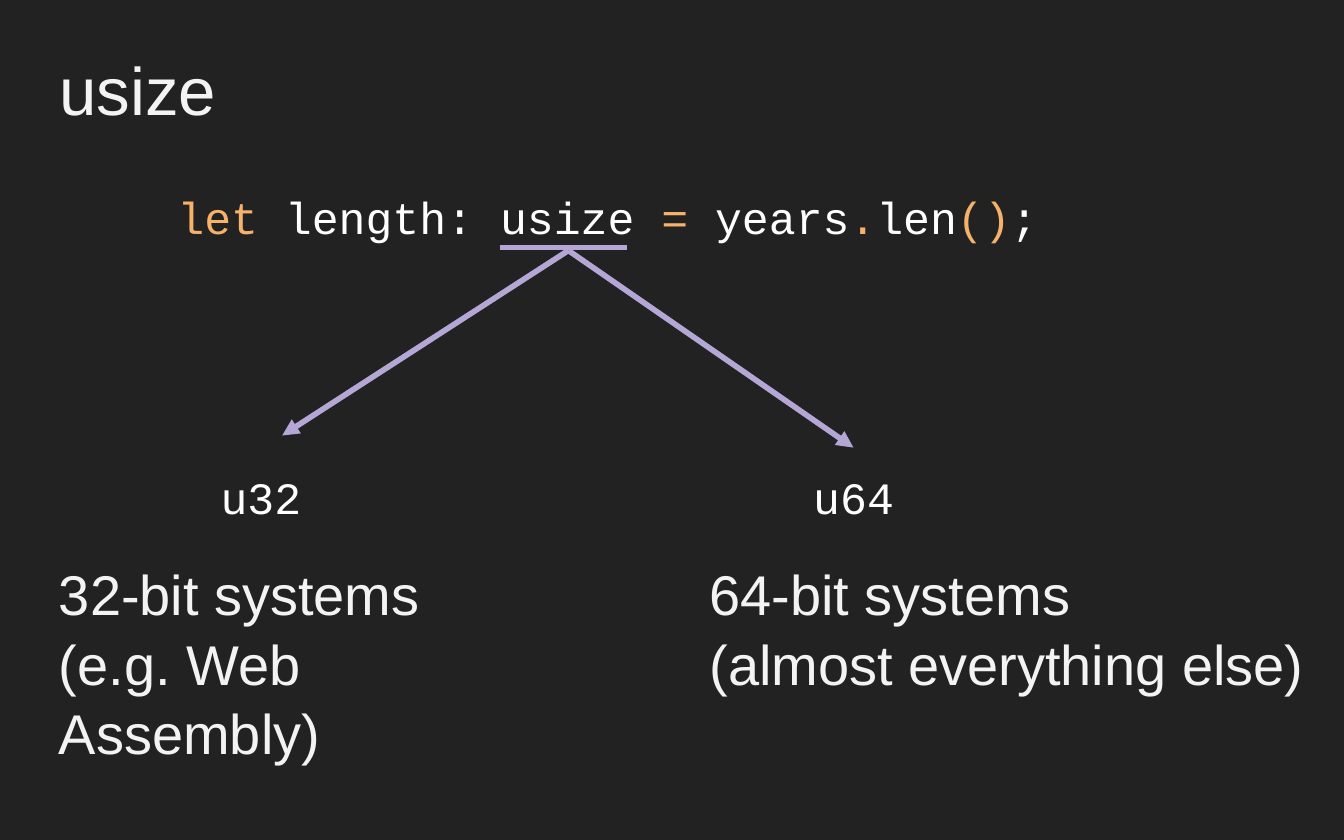
from dataclasses import dataclass

import lxml.etree
import pptx
import pptx.dml.color
import pptx.enum.shapes
import pptx.enum.text
import pptx.oxml.ns
import pptx.util
from pptx.util import Pt

COLORS = {
    "background": "222222",
    "heading": "F3F3F3",
    "code": "FFFFFF",
    "keyword": "F6B26B",
    "arrow": "B4A7D6",
}
ANCHOR = pptx.enum.text.MSO_ANCHOR
ALIGN = pptx.enum.text.PP_ALIGN
TEXT_INSET = 7.2
CODE_SIZE = (67.5, 44)
CODE = [
    ("let ", "keyword"), ("length: usize ", "code"), ("=", "keyword"),
    (" years", "code"), (".", "keyword"), ("len", "code"),
    ("()", "keyword"), (";", "code"),
]


@dataclass
class Target:
    """A concrete type that usize stands for, and where it applies."""
    type_name: str
    type_left: float
    lines: list[str]
    text_left: float
    text_width: float
    arrow_end: tuple[float, float]


TARGETS = [
    Target("u32", 106, ["32-bit systems", "(e.g. Web Assembly)"],
           24.5, 266, (151.2, 233.3)),
    Target("u64", 423.5, ["64-bit systems", "(almost everything else)"],
           373, 338, (457.2, 239.8)),
]


def rgb(name: str) -> pptx.dml.color.RGBColor:
    return pptx.dml.color.RGBColor.from_string(COLORS[name])


def format_frame(frame, anchor=ANCHOR.TOP) -> None:
    frame.word_wrap = True
    frame.auto_size = pptx.enum.text.MSO_AUTO_SIZE.NONE
    frame.vertical_anchor = anchor
    frame.margin_left = frame.margin_right = Pt(TEXT_INSET)
    frame.margin_top = frame.margin_bottom = Pt(TEXT_INSET)


def format_paragraph(paragraph, font_name: str, size: float, color: str,
                     spacing: float = 1.0, align=ALIGN.LEFT) -> None:
    paragraph.alignment = align
    paragraph.line_spacing = spacing
    paragraph.font.name = font_name
    paragraph.font.size = Pt(size)
    paragraph.font.color.rgb = rgb(color)


def add_text_frame(slide, left: float, top: float, width: float, height: float):
    box = slide.shapes.add_textbox(Pt(left), Pt(top), Pt(width), Pt(height))
    format_frame(box.text_frame)
    return box.text_frame


def add_code(slide, left: float, top: float, width: float, height: float,
             runs: list[tuple[str, str]], align=ALIGN.LEFT) -> None:
    paragraph = add_text_frame(slide, left, top, width, height).paragraphs[0]
    format_paragraph(paragraph, "Courier New", 24, "code", 1.15, align)
    for text, color in runs:
        run = paragraph.add_run()
        run.text = text
        run.font.color.rgb = rgb(color)


def add_line(slide, start: tuple[float, float], end: tuple[float, float],
             arrowhead: bool = False) -> None:
    connector = slide.shapes.add_connector(
        pptx.enum.shapes.MSO_CONNECTOR.STRAIGHT,
        Pt(start[0]), Pt(start[1]), Pt(end[0]), Pt(end[1]))
    connector.line.color.rgb = rgb("arrow")
    connector.line.width = Pt(3)
    properties = connector._element.spPr
    if arrowhead:
        line = properties.find(pptx.oxml.ns.qn("a:ln"))
        lxml.etree.SubElement(line, pptx.oxml.ns.qn("a:tailEnd"),
                              type="triangle")
    lxml.etree.SubElement(properties, pptx.oxml.ns.qn("a:effectLst"))


def add_title(slide, text: str) -> None:
    title = slide.shapes.title
    title.left, title.top = Pt(24.5), Pt(15)
    title.width, title.height = Pt(445), Pt(65)
    title.text_frame.text = text
    format_frame(title.text_frame, ANCHOR.MIDDLE)
    format_paragraph(title.text_frame.paragraphs[0], "Arial", 36, "heading")


def add_target(slide, target: Target) -> None:
    add_line(slide, (304.5, 134.2), target.arrow_end, arrowhead=True)
    add_code(slide, target.type_left, 240, *CODE_SIZE,
             [(target.type_name, "code")], ALIGN.CENTER)
    frame = add_text_frame(slide, target.text_left, 291, target.text_width, 87)
    frame.text = "\n".join(target.lines)
    for paragraph in frame.paragraphs:
        format_paragraph(paragraph, "Arial", 30, "heading", 1.04)


def main() -> None:
    presentation = pptx.Presentation()
    presentation.slide_width, presentation.slide_height = Pt(720), Pt(450)
    slide = presentation.slides.add_slide(presentation.slide_layouts[5])
    slide.background.fill.solid()
    slide.background.fill.fore_color.rgb = rgb("background")
    add_title(slide, "usize")
    add_code(slide, 88, 90, 488, 44, CODE)
    add_line(slide, (267.8, 132.5), (335.8, 132.5))
    for target in TARGETS:
        add_target(slide, target)
    presentation.save("out.pptx")


if __name__ == "__main__":
    main()
